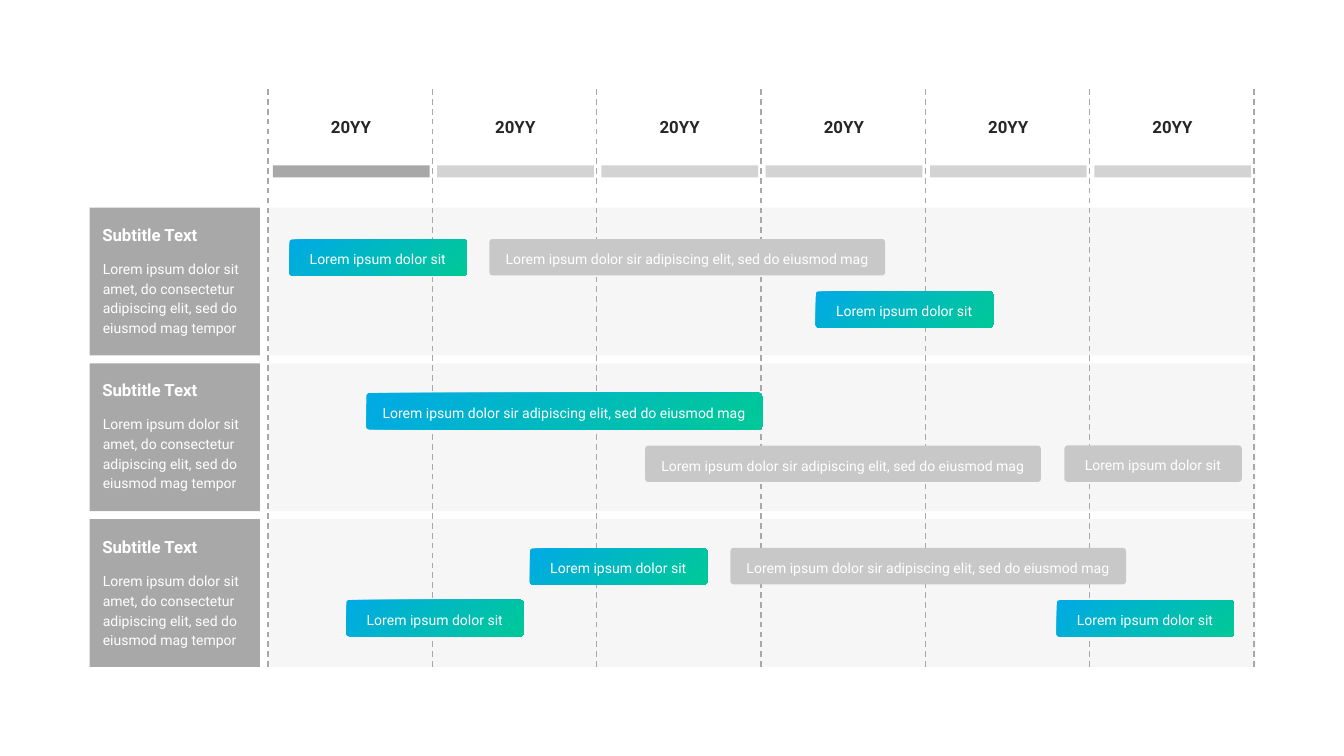
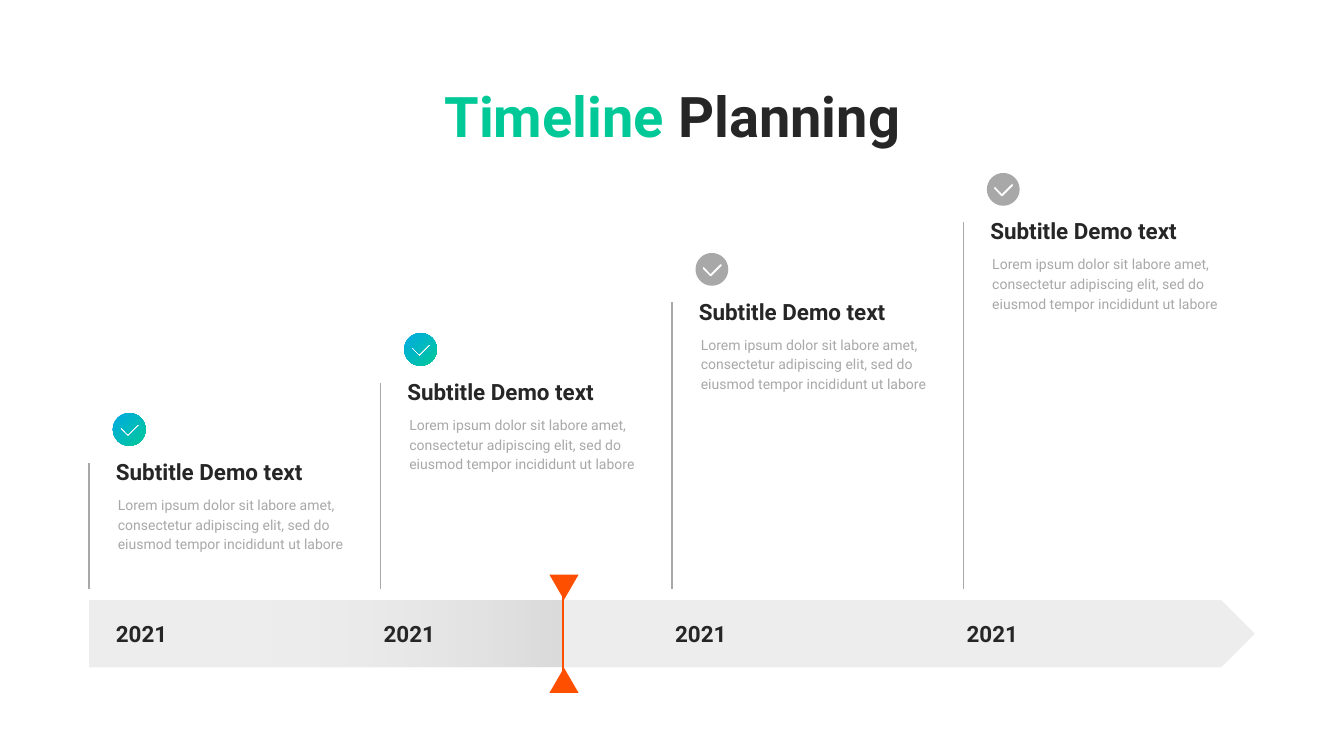
import math

from lxml import etree
from pptx import Presentation
from pptx.dml.color import RGBColor
from pptx.enum.dml import MSO_LINE
from pptx.enum.shapes import MSO_CONNECTOR, MSO_SHAPE
from pptx.enum.text import MSO_ANCHOR, MSO_AUTO_SIZE, PP_ALIGN
from pptx.oxml.ns import qn
from pptx.util import Pt

RECT = MSO_SHAPE.RECTANGLE
ROUND_RECT = MSO_SHAPE.ROUNDED_RECTANGLE
ARROW = MSO_SHAPE.PENTAGON
TRIANGLE = MSO_SHAPE.ISOSCELES_TRIANGLE
STRAIGHT = MSO_CONNECTOR.STRAIGHT
DASH = MSO_LINE.DASH
LEFT, CENTER = PP_ALIGN.LEFT, PP_ALIGN.CENTER
TOP, MIDDLE = MSO_ANCHOR.TOP, MSO_ANCHOR.MIDDLE
FIT_SHAPE = MSO_AUTO_SIZE.SHAPE_TO_FIT_TEXT

FONT = "Roboto"
DARK, GRAY, LIGHT, WHITE = "252625", "A7A8A7", "C7C8C7", "FEFFFE"
BLUE, GREEN, ORANGE = "00AAE5", "00C997", "FE4F00"
BRAND = (BLUE, GREEN)

# Outlines measured from the centre of the disc
RADIUS = 23.4
DISC = [(RADIUS, 0), (0, RADIUS), (-RADIUS, 0), (0, -RADIUS), (RADIUS, 0)]
TICK = [(-1, 10), (14, -5), (14, -7), (11.5, -7), (-2, 6.5),
        (-11, -3), (-13, -3), (-13, -0.7), (-3, 9.4)]


def rgb(color):
    return RGBColor.from_string(color)


def round_off(segments):
    """Turn the four sides of a diamond into quarter circles."""
    pull = 4 / 3 * math.tan(math.pi / 8)
    for segment, (x1, y1), (x2, y2) in zip(segments, DISC, DISC[1:]):
        curve = etree.Element(qn("a:cubicBezTo"))
        for x, y in ((x1 - y1 * pull, y1 + x1 * pull),
                     (x2 + y2 * pull, y2 - x2 * pull), (x2, y2)):
            pt = etree.SubElement(curve, qn("a:pt"))
            pt.set("x", str(Pt(RADIUS + x)))
            pt.set("y", str(Pt(RADIUS + y)))
        segment.getparent().replace(segment, curve)


class Deck:
    """Holds the presentation, its style and the current slide."""

    def __init__(self):
        self.prs = Presentation()
        self.prs.slide_width = Pt(1920)
        self.prs.slide_height = Pt(1080)
        self.s = None

    def new_slide(self):
        self.s = self.prs.slides.add_slide(self.prs.slide_layouts[6])

    def paint(self, sp, fill, angle=315, alphas=()):
        """Fill with one colour or a pair as gradient; alphas are percents."""
        sp.shadow.inherit = False
        sp.line.fill.background()
        if isinstance(fill, tuple):
            sp.fill.gradient()
            sp.fill.gradient_angle = angle
            for stop, color in zip(sp.fill.gradient_stops, fill):
                stop.color.rgb = rgb(color)
        else:
            sp.fill.solid()
            sp.fill.fore_color.rgb = rgb(fill)
        colors = list(sp._element.spPr.iter(qn("a:srgbClr")))
        for color, alpha in zip(colors, alphas):
            etree.SubElement(color, qn("a:alpha")).set("val", str(alpha * 1000))

    def shape(self, kind, x, y, w, h, fill, **style):
        sp = self.s.shapes.add_shape(kind, Pt(x), Pt(y), Pt(w), Pt(h))
        self.paint(sp, fill, **style)
        return sp

    def line(self, x, y1, y2, color=GRAY, dash=None):
        """Vertical line."""
        c = self.s.shapes.add_connector(STRAIGHT, Pt(x), Pt(y1), Pt(x), Pt(y2))
        c.line.color.rgb = rgb(color)
        c.line.width = Pt(2)
        if dash:
            c.line.dash_style = dash
        etree.SubElement(c._element.spPr, qn("a:effectLst"))

    def text(self, x, y, w, h, runs, size, color, align, anchor, inset,
             bold=False, spacing=None):
        """Text box; runs is a string or a list of (text, colour)."""
        tf = self.s.shapes.add_textbox(Pt(x), Pt(y), Pt(w), Pt(h)).text_frame
        tf.word_wrap = True
        tf.auto_size = FIT_SHAPE
        tf.vertical_anchor = anchor
        tf.margin_left = tf.margin_right = Pt(inset[0])
        tf.margin_top = tf.margin_bottom = Pt(inset[1])
        p = tf.paragraphs[0]
        p.alignment = align
        if spacing:
            p.line_spacing = Pt(spacing)
        p.font.name, p.font.size, p.font.bold = FONT, Pt(size), bold
        if isinstance(runs, str):
            p.font.color.rgb = rgb(color)
            p.add_run().text = runs
        else:
            for words, run_color in runs:
                r = p.add_run()
                r.text = words
                r.font.color.rgb = rgb(run_color)

    def heading(self, x, y, w, h, runs, size, color=DARK, align=LEFT, anchor=MIDDLE):
        self.text(x, y, w, h, runs, size, color, align, anchor, (4.3, 4.3), bold=True)

    def body(self, x, y, w, h, words, color, align=LEFT):
        self.text(x, y, w, h, words, 20, color, align, TOP, (7.2, 3.6), spacing=28)

    def task(self, x, y, long, active):
        w = 565.2 if long else 253.4
        words = ("Lorem ipsum dolor sir adipiscing elit, sed do eiusmod mag"
                 if long else "Lorem ipsum dolor sit")
        sp = self.shape(ROUND_RECT, x, y, w, 52, BRAND if active else LIGHT)
        sp.adjustments[0] = 0.086
        self.body(x + 14.1, y + 8.8, w - 28.6, 34, words, WHITE, CENTER)

    def check(self, cx, cy, fill):
        """Disc with a tick cut out of it."""
        disc, tick = ([(Pt(cx + x), Pt(cy + y)) for x, y in outline]
                      for outline in (DISC, TICK))
        fb = self.s.shapes.build_freeform(*disc[0])
        fb.add_line_segments(disc[1:])
        fb.move_to(*tick[0])
        fb.add_line_segments(tick[1:])
        sp = fb.convert_to_shape()
        round_off(list(sp._element.spPr.iter(qn("a:lnTo")))[:4])
        self.paint(sp, fill)


def gantt_slide(deck):
    deck.new_slide()
    left, pitch, years = 383.1, 234.72, 6
    row_tops = [296.6 + 222.5 * i for i in range(3)]
    for top in row_tops:
        deck.shape(RECT, left + 0.5, top, 1410, 211, GRAY, alphas=[10])
    for top, label_top in zip(row_tops, (316.1, 537.9, 762.2)):
        deck.shape(RECT, 128, top, 243.4, 211, GRAY)
        deck.heading(141.8, label_top, 198, 37.4, "Subtitle Text", 24, WHITE)
        deck.body(139.8, label_top + 48.6, 211.7, 118,
                  "Lorem ipsum dolor sit amet, do consectetur adipiscing elit, "
                  "sed do eiusmod mag tempor", WHITE)

    for i in range(years + 1):
        deck.line(left + i * pitch, 952.6, 127.4, dash=DASH)
    for i in range(years):
        x = left + i * pitch
        fill, alpha = (LIGHT, 80) if i else (GRAY, 100)
        deck.shape(RECT, x + 6.6, 236.2, 223.9, 17.3, fill, alphas=[alpha])
        deck.heading(x + 68.4, 162.7, 100, 37.4, "20YY", 24, align=CENTER)

    for x, y, long, active in (
        (413.3, 342, False, True), (699.2, 341.5, True, False),
        (1165.2, 416.2, False, True),
        (523.4, 561.4, True, True), (921.7, 636.6, True, False),
        (1520.6, 636.4, False, False),
        (756.9, 783.4, False, True), (1043.4, 782.8, True, False),
        (1509.3, 857.4, False, True), (494.7, 857, False, True),
    ):
        deck.task(x, y, long, active)


def timeline_slide(deck):
    deck.new_slide()
    left, pitch, rise, indent = 127.4, 416.4, 114.6, 33.8
    deck.heading(507.6, 112.3, 905.8, 105,
                 [("Timeline", GREEN), (" Planning", DARK)], 80,
                 align=CENTER, anchor=TOP)

    deck.shape(ARROW, left, 857.5, 1665.4, 95.8, LIGHT, alphas=[31])
    deck.shape(RECT, 280, 857.5, 525.6, 95, (WHITE, GRAY), angle=0, alphas=[0, 28])
    deck.shape(TRIANGLE, 784.8, 954, 41.8, 36, ORANGE)
    deck.shape(TRIANGLE, 784.8, 820.8, 41.8, 36, ORANGE).rotation = 180
    deck.line(804.2, 842.4, 987, ORANGE)

    for i in range(4):
        x, y = left + i * pitch, 650.3 - i * rise
        text_x = x + indent
        deck.line(x, 842, y + 10.8)
        deck.check(184.6 + i * 416.2, 613.4 - i * 114.3, BRAND if i < 2 else GRAY)
        deck.heading(text_x, y, 326, 46.8, "Subtitle Demo text", 32)
        deck.body(text_x, y + 51.6, 346.3, 90,
                  "Lorem ipsum dolor sit labore amet, consectetur adipiscing elit, "
                  "sed do eiusmod tempor incididunt ut labore", GRAY)
        deck.heading(x if i else text_x, 881.3, 141.8, 46.8, "2021", 32)


def main():
    deck = Deck()
    gantt_slide(deck)
    timeline_slide(deck)
    deck.prs.save("out.pptx")


if __name__ == "__main__":
    main()
